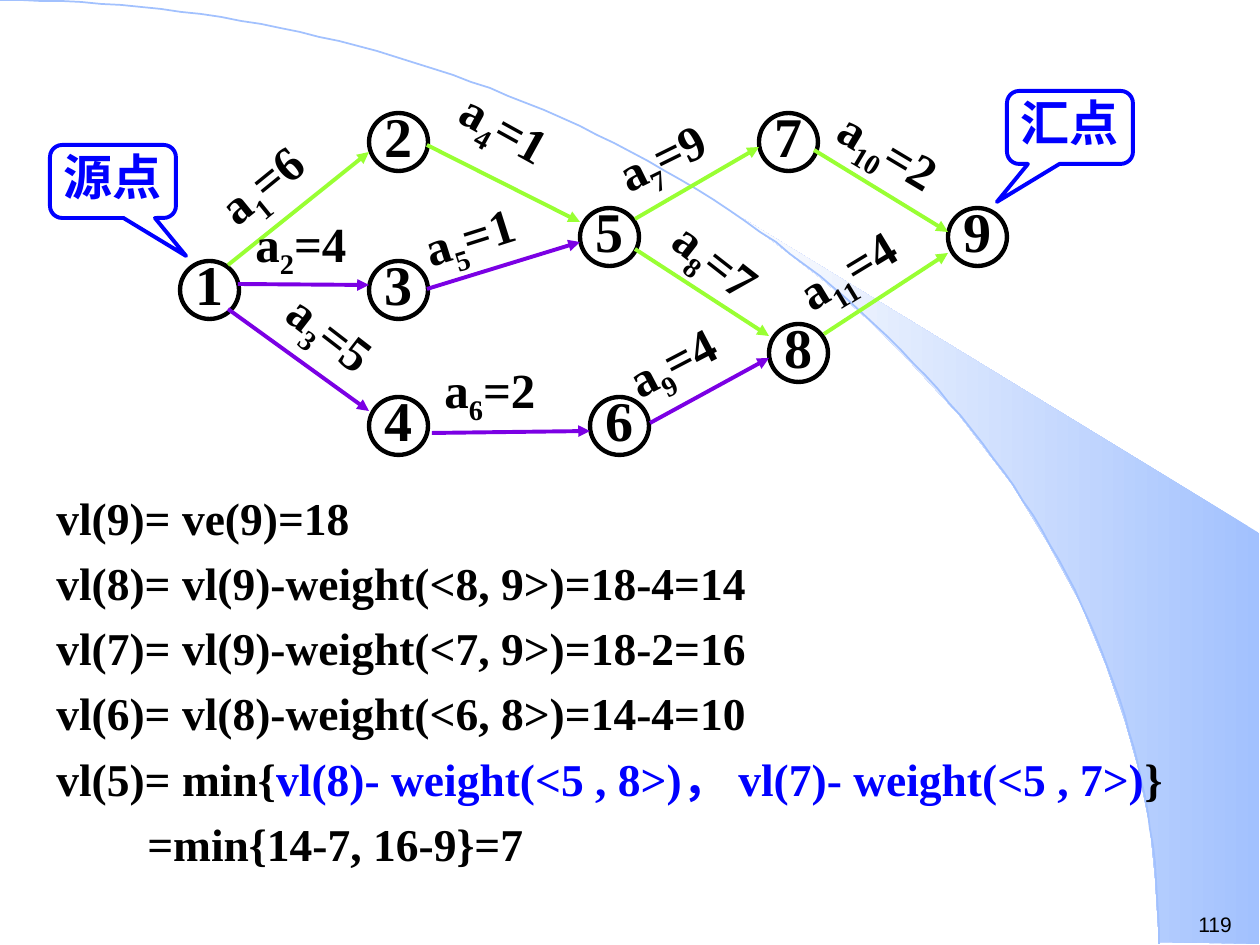
from math import cos, pi, sin

from lxml.etree import SubElement
from pptx import Presentation
from pptx.dml.color import RGBColor
from pptx.enum.shapes import MSO_CONNECTOR, MSO_SHAPE
from pptx.enum.text import PP_ALIGN
from pptx.oxml.ns import qn
from pptx.util import Emu, Pt

SCALE = 914400 / 126  # EMU in one px
COLORS = {
    "text": "000000",
    "blue": "0000FF",
    "sky": "A2C1FE",
    "fade": "FEFEFE",
    "green": "99FF33",
    "purple": "7B00E4",
}
SERIF = "Times New Roman"


def px(*lengths):
    return [Emu(round(length * SCALE)) for length in lengths]


def add_text(frame, paragraphs, size, color="text", font=SERIF, bold=True, align=PP_ALIGN.LEFT):
    """Add a text box; each paragraph is a list of run texts."""
    box = page.shapes.add_textbox(*px(*frame))
    box.text_frame.word_wrap = True
    for index, spans in enumerate(paragraphs):
        para = box.text_frame.paragraphs[0] if index == 0 else box.text_frame.add_paragraph()
        para.alignment = align
        para.font.name, para.font.size, para.font.bold = font, Pt(size), bold
        para.font.color.rgb = RGBColor.from_string(COLORS[color])
        for text in spans:
            para.add_run().text = text
    return box


deck = Presentation()
deck.slide_width, deck.slide_height = px(1260, 945)
page = deck.slides.add_slide(deck.slide_layouts[6])

# Background wedge with a gradient
wedge_points = [
    (1159, 942), (1259, 944), (1259, 533), (742, 218), (786, 251), (823, 280),
    (863, 315), (902, 353), (960, 416), (1012, 484), (1048, 543), (1081, 604),
    (1106, 665), (1125, 721), (1138, 767), (1150, 827), (1155, 877),
]
builder = page.shapes.build_freeform(*wedge_points[0], scale=SCALE)
builder.add_line_segments(wedge_points[1:], close=True)
wedge = builder.convert_to_shape()
wedge.shadow.inherit = False
wedge.line.fill.background()
wedge.fill.gradient()
wedge.fill.gradient_angle = 180
for stop, position, color in zip(wedge.fill.gradient_stops, (0, 1), ("sky", "fade")):
    stop.position = position
    stop.color.rgb = RGBColor.from_string(COLORS[color])

# Background arc: a quarter of an ellipse centred on the lower left corner
STEPS = 90
arc_points = [
    (round(1159 * sin(step * pi / 2 / STEPS), 2), round(944 - 944 * cos(step * pi / 2 / STEPS), 2))
    for step in range(STEPS + 1)
]
builder = page.shapes.build_freeform(*arc_points[0], scale=SCALE)
builder.add_line_segments(arc_points[1:], close=False)
arc = builder.convert_to_shape()
arc.shadow.inherit = False
arc.fill.background()
arc.line.color.rgb = RGBColor.from_string(COLORS["sky"])
arc.line.width = Pt(1)

# Slide number
add_text((1186, 905, 74, 38), [["119"]], 12, font="Arial", bold=False)

# Latest times, computed backwards from the sink
latest_times = [
    ["vl(9)= ve(9)=18"],
    ["vl(8)= vl(9)-weight(<8, 9>)=18-4=14"],
    ["vl(7)= vl(9)-weight(<7, 9>)=18-2=16"],
    ["vl(6)= vl(8)-weight(<6, 8>)=14-4=10"],
    ["vl(5)= min{", "vl(8)- weight(<5 , 8>)， vl(7)- weight(<5 , 7>)", "}"],
    ["=min{14-7, 16-9}=7"],
]
formulas = add_text((44, 478, 1171, 396), latest_times, 26).text_frame.paragraphs
for index, para in enumerate(formulas):
    para.line_spacing = 1.1
    if index:
        para.space_before = Pt(3)
formulas[4].runs[1].font.color.rgb = RGBColor.from_string(COLORS["blue"])
formulas[5]._p.get_or_add_pPr().set("marL", str(px(91)[0]))

# Graph nodes: left, top
nodes = {
    1: (180, 261), 2: (369, 113), 3: (369, 261), 4: (369, 397), 5: (580, 208),
    6: (590, 397), 7: (759, 113), 8: (769, 324), 9: (948, 208),
}
for number, (left, top) in nodes.items():
    node = page.shapes.add_shape(MSO_SHAPE.OVAL, *px(left, top, 59, 58))
    node.shadow.inherit = False
    node.fill.background()
    node.line.color.rgb = RGBColor.from_string(COLORS["text"])
    node.line.width = Pt(2.5)
    digit = add_text((left, top - 18, 59, 80), [[str(number)]], 32, align=PP_ALIGN.CENTER)
    digit.text_frame.margin_left = digit.text_frame.margin_right = 0

# Graph edges: line ends, colour, label subscript and weight, label place and turn
edges = [
    ((228, 265, 369, 152), "green", "1", 6, (202, 137, 147), -39.1),
    ((238, 284, 369, 285), "purple", "2", 4, (243, 207, 179), 0),
    ((228, 309, 369, 411), "purple", "3", 5, (265, 315, 179), 37.7),
    ((427, 145, 580, 222), "green", "4", 1, (442, 106, 179), 28.9),
    ((427, 289, 580, 242), "purple", "5", 1, (411, 190, 179), -17.6),
    ((432, 433, 590, 431), "purple", "6", 2, (432, 353, 179), 0),
    ((635, 219, 759, 147), "green", "7", 9, (602, 106, 179), -26.2),
    ((635, 249, 769, 336), "green", "8", 7, (650, 242, 179), 38),
    ((650, 423, 769, 358), "purple", "9", 4, (612, 310, 179), -27.6),
    ((814, 150, 948, 232), "green", "10", 2, (819, 126, 179), 30.9),
    ((824, 334, 948, 253), "green", "11", 4, (781, 220, 179), -31.2),
]
for ends, color, subscript, weight, place, turn in edges:
    edge = page.shapes.add_connector(MSO_CONNECTOR.STRAIGHT, *px(*ends))
    edge.line.color.rgb = RGBColor.from_string(COLORS[color])
    edge.line.width = Pt(2.25)
    SubElement(edge.line._get_or_add_ln(), qn("a:tailEnd"), type="triangle")
    SubElement(edge._element.spPr, qn("a:effectLst"))
    label = add_text((*place, 79), [["a", subscript, f"={weight}"]], 28)
    label.rotation = turn
    label.text_frame.paragraphs[0].runs[1].font._element.set("baseline", "-25000")

# Callouts for the source and the sink
callouts = [("源点", 50, 145, 0.58), ("汇点", 1007, 91, -0.58)]
for name, left, top, tail in callouts:
    add_text((left - 11, top - 5, 147, 72), [[name]], 28, "blue", align=PP_ALIGN.CENTER)
    callout = page.shapes.add_shape(MSO_SHAPE.ROUNDED_RECTANGULAR_CALLOUT, *px(left, top, 126, 73))
    callout.shadow.inherit = False
    callout.fill.background()
    callout.line.color.rgb = RGBColor.from_string(COLORS["blue"])
    callout.line.width = Pt(2.25)
    callout.adjustments[0], callout.adjustments[1] = tail, 1.02

deck.save("out.pptx")
